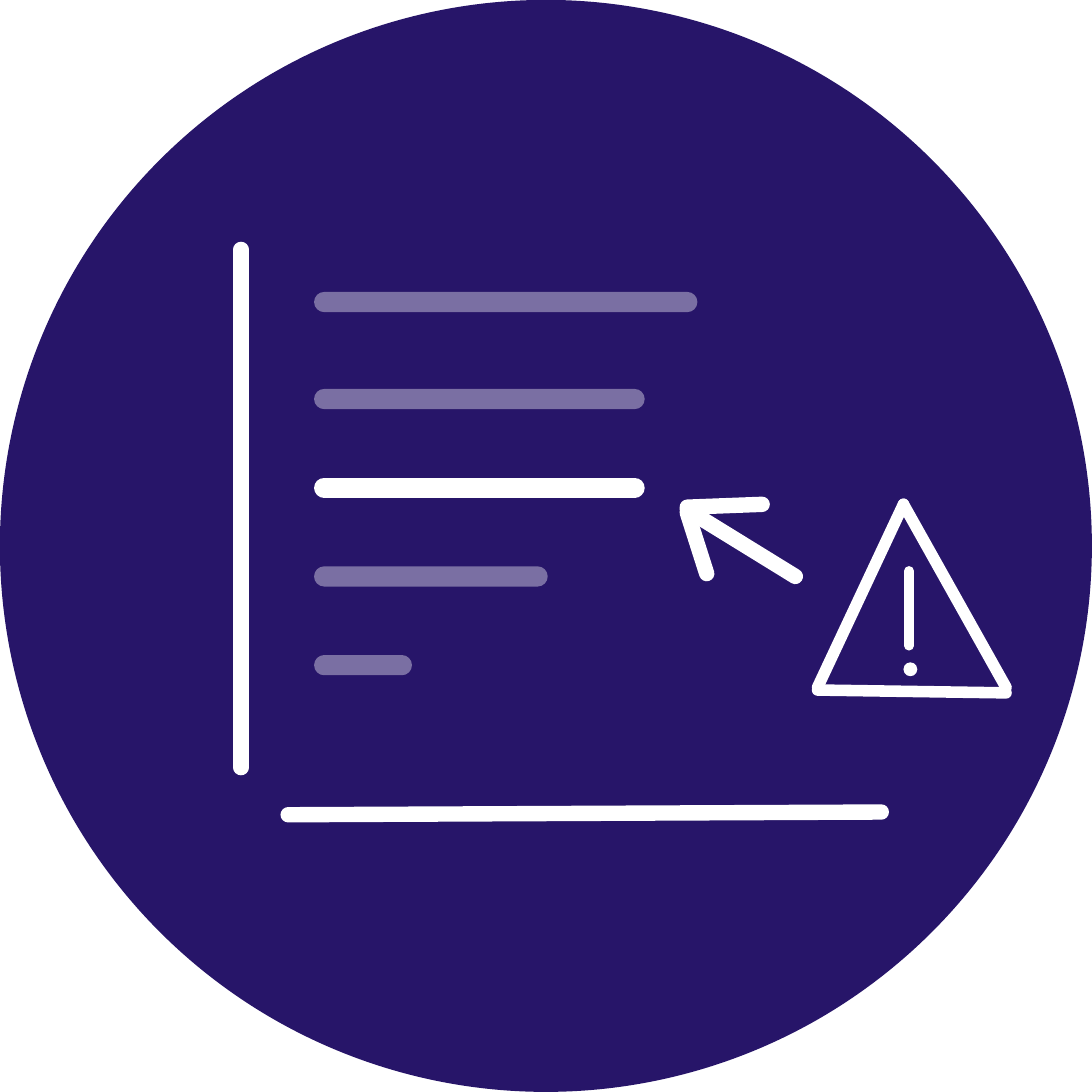
"""Build a round bar-chart icon with an arrow and a warning sign."""
from lxml import etree
from pptx import Presentation
from pptx import util as u
from pptx.dml.color import RGBColor
from pptx.enum import shapes
from pptx.oxml import ns

NAVY = RGBColor(0x27, 0x15, 0x69)
WHITE = RGBColor(0xFF, 0xFF, 0xFF)
SIDE = 3.94
BAR_LEFT = 1.17
BARS = [(1.09, 2.48, 38), (1.44, 2.29, 38), (1.76, 2.29, 100),
        (2.08, 1.94, 38), (2.4, 1.45, 38)]
AXES = [((0.87, 0.9), (0.87, 2.77)), ((3.18, 2.93), (1.04, 2.94))]
ARROW = [((2.48, 1.84), (2.87, 2.08)), ((2.48, 1.83), (2.75, 1.82)),
         ((2.48, 1.85), (2.55, 2.07))]
TRIANGLE = [((3.26, 1.82), (3.63, 2.48)), ((3.26, 1.82), (2.95, 2.48)),
            ((3.63, 2.5), (2.95, 2.49))]


class Icon:
    def __init__(self, page):
        self.page = page

    def disc(self, left, top, size, color):
        disc = self.page.shapes.add_shape(
            shapes.MSO_SHAPE.OVAL, u.Inches(left), u.Inches(top),
            u.Inches(size), u.Inches(size))
        disc.shadow.inherit = False
        disc.fill.solid()
        disc.fill.fore_color.rgb = color
        disc.line.fill.background()

    def stroke(self, start, end, width, opacity=100):
        stroke = self.page.shapes.add_connector(
            shapes.MSO_CONNECTOR.STRAIGHT, *map(u.Inches, start + end))
        stroke.line.width = u.Pt(width)
        stroke.line.color.rgb = WHITE
        properties = stroke._element.spPr
        outline = properties.find(ns.qn("a:ln"))
        outline.set("cap", "rnd")
        if opacity < 100:
            color = outline.find(".//" + ns.qn("a:srgbClr"))
            etree.SubElement(color, ns.qn("a:alpha"), val=str(opacity * 1000))
        etree.SubElement(properties, ns.qn("a:effectLst"))

    def strokes(self, segments, width):
        for start, end in segments:
            self.stroke(start, end, width)


def main():
    deck = Presentation()
    deck.slide_width = deck.slide_height = u.Inches(SIDE)
    icon = Icon(deck.slides.add_slide(deck.slide_layouts[6]))
    icon.disc(0, 0, SIDE, NAVY)
    icon.strokes(AXES, 4)
    for height, right, opacity in BARS:
        icon.stroke((right, height), (BAR_LEFT, height), 5.25, opacity)
    icon.strokes(ARROW, 4)
    icon.strokes(TRIANGLE, 3)
    icon.stroke((3.28, 2.06), (3.28, 2.33), 2.5)
    icon.disc(3.26, 2.39, 0.05, WHITE)
    deck.save("out.pptx")


if __name__ == "__main__":
    main()
